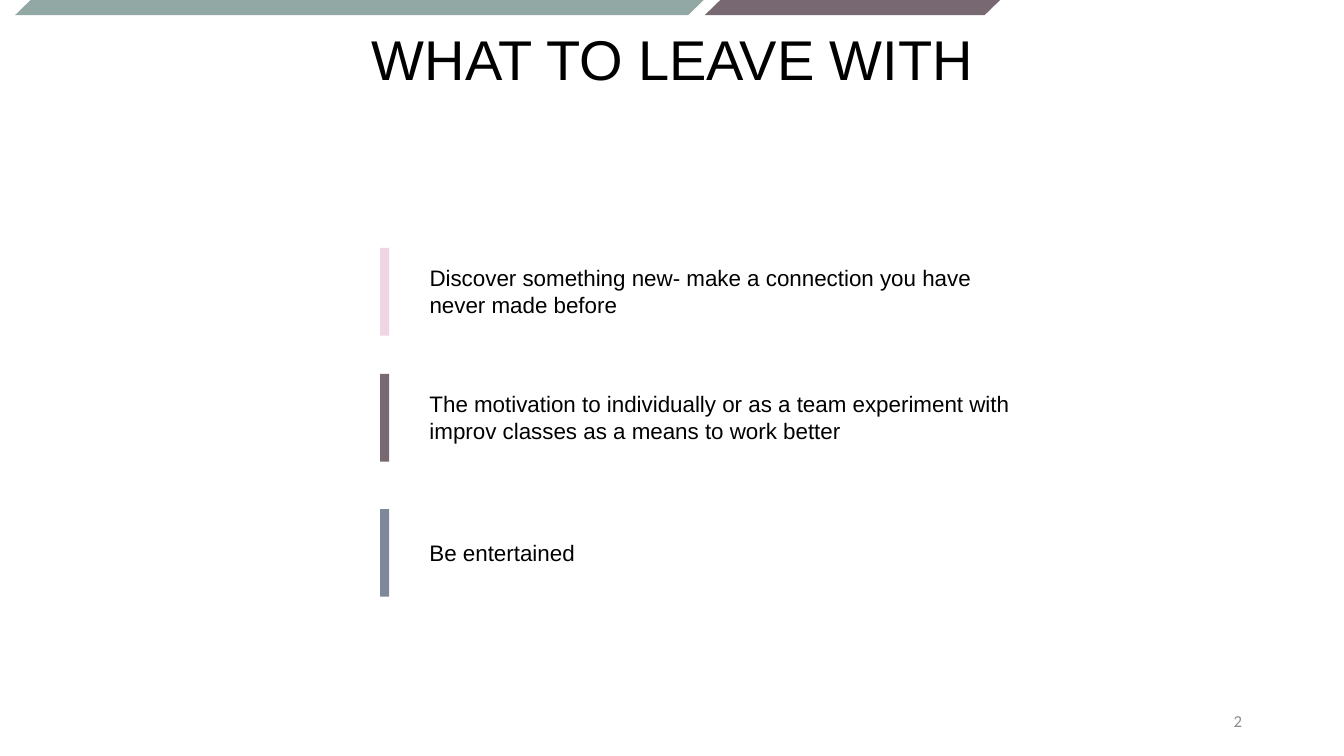
from dataclasses import dataclass

from pptx import Presentation
from pptx.dml.color import RGBColor as RGB
from pptx.enum.shapes import MSO_SHAPE as SHAPE
from pptx.enum.text import MSO_ANCHOR as ANCHOR, PP_ALIGN as ALIGN
from pptx.util import Inches, Pt


@dataclass(frozen=True)
class Theme:
    black: RGB = RGB.from_string("000000")
    gray: RGB = RGB.from_string("8C8C8C")
    sage: RGB = RGB.from_string("91A8A4")
    plum: RGB = RGB.from_string("776871")
    pink: RGB = RGB.from_string("F0D6E2")
    slate: RGB = RGB.from_string("7D899B")
    title: int = 40
    body: int = 16
    number: int = 12


class SlideBuilder:
    def __init__(self, slide, theme):
        self.s = slide
        self.theme = theme

    def shape(self, kind, box, color, slant=None):
        sp = self.s.shapes.add_shape(kind, *map(Inches, box))
        sp.shadow.inherit = False
        sp.fill.solid()
        sp.fill.fore_color.rgb = color
        sp.line.fill.background()
        if slant is not None:
            sp.adjustments[0] = slant

    def text(self, text, box, size, color=None, font="Arial",
             align=ALIGN.LEFT, anchor=ANCHOR.TOP):
        tf = self.s.shapes.add_textbox(*map(Inches, box)).text_frame
        frame_format = {
            "word_wrap": True, "vertical_anchor": anchor,
            "margin_left": 0, "margin_right": 0,
            "margin_top": 0, "margin_bottom": 0,
        }
        for name, value in frame_format.items():
            setattr(tf, name, value)
        p = tf.paragraphs[0]
        p.alignment = align
        r = p.add_run()
        r.text = text
        for name, value in {"name": font, "size": Pt(size)}.items():
            setattr(r.font, name, value)
        r.font.color.rgb = color or self.theme.black

    def takeaway(self, text, top, color, width, lines):
        """A colored bar with its text centered beside it."""
        bar_height, line_height = 0.87, 0.27
        self.shape(SHAPE.RECTANGLE, (3.77, top, 0.09, bar_height), color)
        height = lines * line_height
        text_top = top + (bar_height - height) / 2
        self.text(text, (4.26, text_top, width, height), self.theme.body)


def main():
    prs = Presentation()
    prs.slide_width, prs.slide_height = Inches(13.33), Inches(7.5)
    theme = Theme()
    s = SlideBuilder(prs.slides.add_slide(prs.slide_layouts[6]), theme)

    # Title
    s.text("WHAT TO LEAVE WITH", (0.38, 0.24, 12.58, 0.67), theme.title,
           align=ALIGN.CENTER)

    # Slanted bands along the top edge
    for left, width, color in ((0.15, 6.83, theme.sage),
                               (6.99, 2.93, theme.plum)):
        s.shape(SHAPE.PARALLELOGRAM, (left, 0, width, 0.15), color, slant=1.03)

    # Slide number
    s.text("2", (9.42, 6.95, 2.9, 0.4), theme.number, theme.gray, "Calibri",
           ALIGN.RIGHT, ANCHOR.MIDDLE)

    # Takeaways: text, bar top, bar color, text width, line count
    takeaways = (
        ("Discover something new- make a connection you have never made before",
         2.46, theme.pink, 5.65, 2),
        ("The motivation to individually or as a team experiment with "
         "improv classes as a means to work better",
         3.71, theme.plum, 5.87, 2),
        ("Be entertained", 5.05, theme.slate, 4.73, 1),
    )
    for takeaway in takeaways:
        s.takeaway(*takeaway)

    prs.save("out.pptx")


if __name__ == "__main__":
    main()
